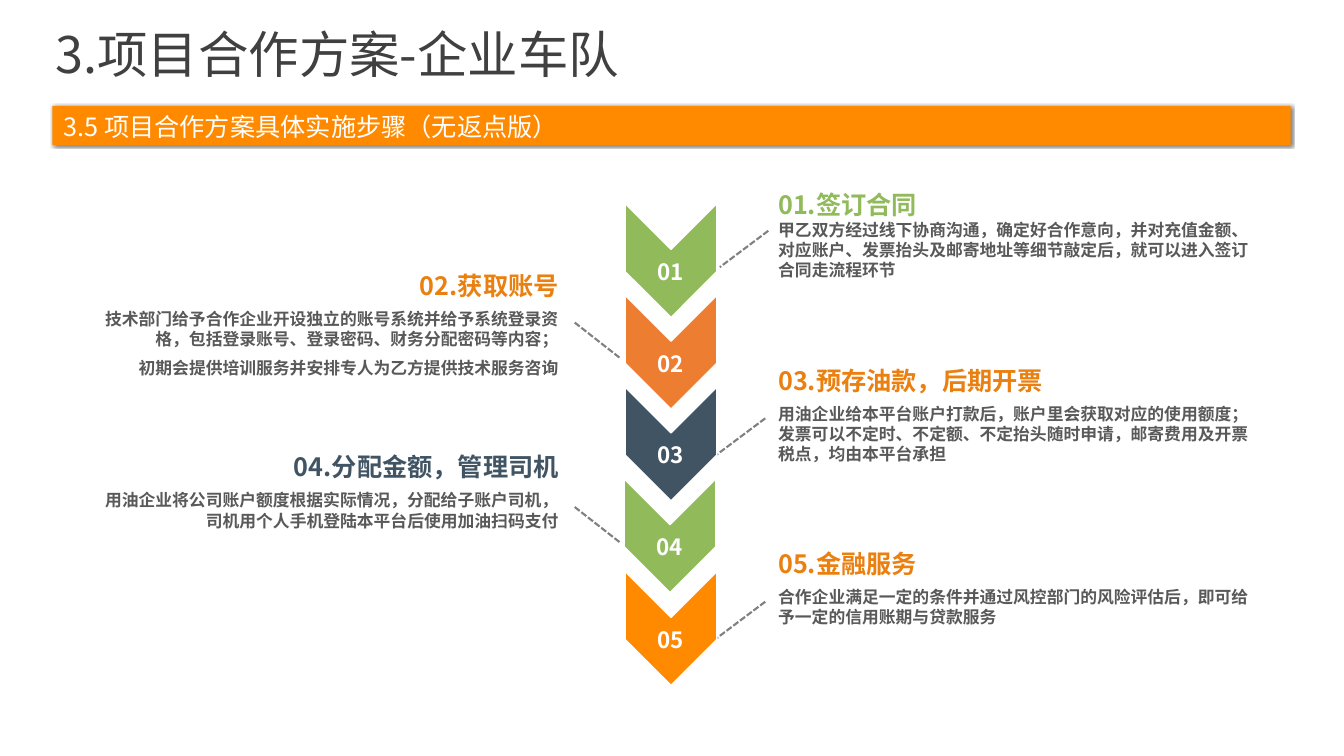
from dataclasses import dataclass

import pptx
import pptx.dml.color
import pptx.enum.dml
import pptx.enum.shapes
import pptx.enum.text
import pptx.oxml
import pptx.oxml.ns
import pptx.util
from pptx.slide import Slide

PX = 9144  # EMU per px, 100 px to the inch
FONT = "Noto Sans CJK SC"
COLORS = {
    "orange": "FF8A00", "heading": "EA8010", "rust": "ED7D31", "green": "91BA5B",
    "slate": "415463", "title": "404040", "body": "595959", "guide": "808080",
    "white": "FFFFFF",
}
ALIGN = pptx.enum.text.PP_ALIGN
SHAPE = pptx.enum.shapes.MSO_SHAPE


@dataclass(frozen=True)
class Line:
    text: str
    size: int
    color: str
    bold: bool = False


@dataclass(frozen=True)
class Step:
    heading: str
    details: tuple[str, ...]
    heading_color: str
    chevron_color: str
    box: tuple[int, int, int, int]
    guide: tuple[int, int, int, int]
    align: ALIGN = ALIGN.LEFT
    space_after: int = 6
    chevron_left: int = 609


STEPS = (
    Step("01.签订合同",
         ("甲乙双方经过线下协商沟通，确定好合作意向，并对充值金额、对应账户、发票抬头及邮寄地址等细节敲定后，就可以进入签订合同走流程环节",),
         "green", "green", (762, 183, 492, 102), (762, 229, 714, 265), space_after=0),
    Step("02.获取账号",
         ("技术部门给予合作企业开设独立的账号系统并给予系统登录资格，包括登录账号、登录密码、财务分配密码等内容；",
          "初期会提供培训服务并安排专人为乙方提供技术服务咨询"),
         "heading", "rust", (90, 263, 474, 119), (570, 320, 616, 356), ALIGN.RIGHT),
    Step("03.预存油款，后期开票",
         ("用油企业给本平台账户打款后，账户里会获取对应的使用额度；发票可以不定时、不定额、不定抬头随时申请，邮寄费用及开票税点，均由本平台承担",),
         "heading", "slate", (762, 357, 493, 139), (759, 415, 711, 451)),
    Step("04.分配金额，管理司机",
         ("用油企业将公司账户额度根据实际情况，分配给子账户司机，司机用个人手机登陆本平台后使用加油扫码支付",),
         "slate", "green", (90, 443, 474, 119), (570, 503, 616, 539), ALIGN.RIGHT,
         chevron_left=608),
    Step("05.金融服务",
         ("合作企业满足一定的条件并通过风控部门的风险评估后，即可给予一定的信用账期与贷款服务",),
         "heading", "orange", (762, 539, 493, 90), (759, 597, 711, 633)),
)


def rgb(name: str) -> pptx.dml.color.RGBColor:
    return pptx.dml.color.RGBColor.from_string(COLORS[name])


def emu(*lengths: int) -> list[int]:
    return [length * PX for length in lengths]


def add_text(slide: Slide, box: tuple[int, int, int, int], lines: list[Line],
             align: ALIGN = ALIGN.LEFT, space_after: int = 0,
             inset: bool = True, spacing: float | None = None) -> None:
    frame = slide.shapes.add_textbox(*emu(*box)).text_frame
    frame.word_wrap = True
    if not inset:
        frame.margin_left = frame.margin_right = frame.margin_top = frame.margin_bottom = 0
    for index, line in enumerate(lines):
        paragraph = frame.add_paragraph() if index else frame.paragraphs[0]
        paragraph.text = line.text
        paragraph.alignment = align
        paragraph.space_after = pptx.util.Pt(space_after)
        if spacing:
            paragraph.line_spacing = spacing
        font = paragraph.font
        font.name, font.size, font.bold = FONT, pptx.util.Pt(line.size), line.bold
        font.color.rgb = rgb(line.color)


def add_banner(slide: Slide) -> None:
    banner = slide.shapes.add_shape(SHAPE.RECTANGLE, *emu(52, 105, 1228, 39))
    banner.fill.solid()
    banner.fill.fore_color.rgb = rgb("orange")
    banner.line.fill.background()
    banner._element.spPr.append(pptx.oxml.parse_xml(
        f'<a:effectLst {pptx.oxml.ns.nsdecls("a")}>'
        '<a:outerShdw blurRad="25400" dist="12700" dir="2700000" algn="tl" rotWithShape="0">'
        '<a:srgbClr val="000000"><a:alpha val="50000"/></a:srgbClr>'
        '</a:outerShdw></a:effectLst>'))


def add_chevron(slide: Slide, left: int, top: int, color: str, number: str) -> None:
    chevron = slide.shapes.add_shape(SHAPE.CHEVRON, *emu(left, top, 113, 91))
    chevron.rotation = 90
    chevron.shadow.inherit = False
    chevron.fill.solid()
    chevron.fill.fore_color.rgb = rgb(color)
    chevron.line.color.rgb = rgb("white")
    chevron.line.width = pptx.util.Pt(1)
    add_text(slide, (left + 11, top + 38, 90, 39),
             [Line(number, 16, "white", True)], ALIGN.CENTER)


def add_guide(slide: Slide, ends: tuple[int, int, int, int]) -> None:
    guide = slide.shapes.add_connector(pptx.enum.shapes.MSO_CONNECTOR.STRAIGHT, *emu(*ends))
    guide.line.color.rgb = rgb("guide")
    guide.line.width = pptx.util.Pt(1.5)
    guide.line.dash_style = pptx.enum.dml.MSO_LINE.SQUARE_DOT
    guide._element.spPr.append(pptx.oxml.parse_xml(
        f'<a:effectLst {pptx.oxml.ns.nsdecls("a")}/>'))


def main() -> None:
    deck = pptx.Presentation()
    deck.slide_width, deck.slide_height = emu(1333, 750)
    slide = deck.slides.add_slide(deck.slide_layouts[6])

    # Title and section banner
    add_banner(slide)
    add_text(slide, (55, 35, 1226, 62), [Line("3.项目合作方案-企业车队", 36, "title")],
             inset=False, spacing=0.8)
    add_text(slide, (63, 110, 1169, 32),
             [Line("3.5 项目合作方案具体实施步骤（无返点版）", 18, "white")], inset=False)

    # Step descriptions with their guide lines
    for step in STEPS:
        lines = [Line(step.heading, 18, step.heading_color, True)]
        lines += [Line(detail, 12, "body", True) for detail in step.details]
        add_text(slide, step.box, lines, step.align, step.space_after)
        add_guide(slide, step.guide)

    # Chevron column, lowest first so that upper tips lie on top
    for index, step in reversed(list(enumerate(STEPS))):
        add_chevron(slide, step.chevron_left, 213 + index * 365 // 4,
                    step.chevron_color, step.heading[:2])

    deck.save("out.pptx")


if __name__ == "__main__":
    main()
